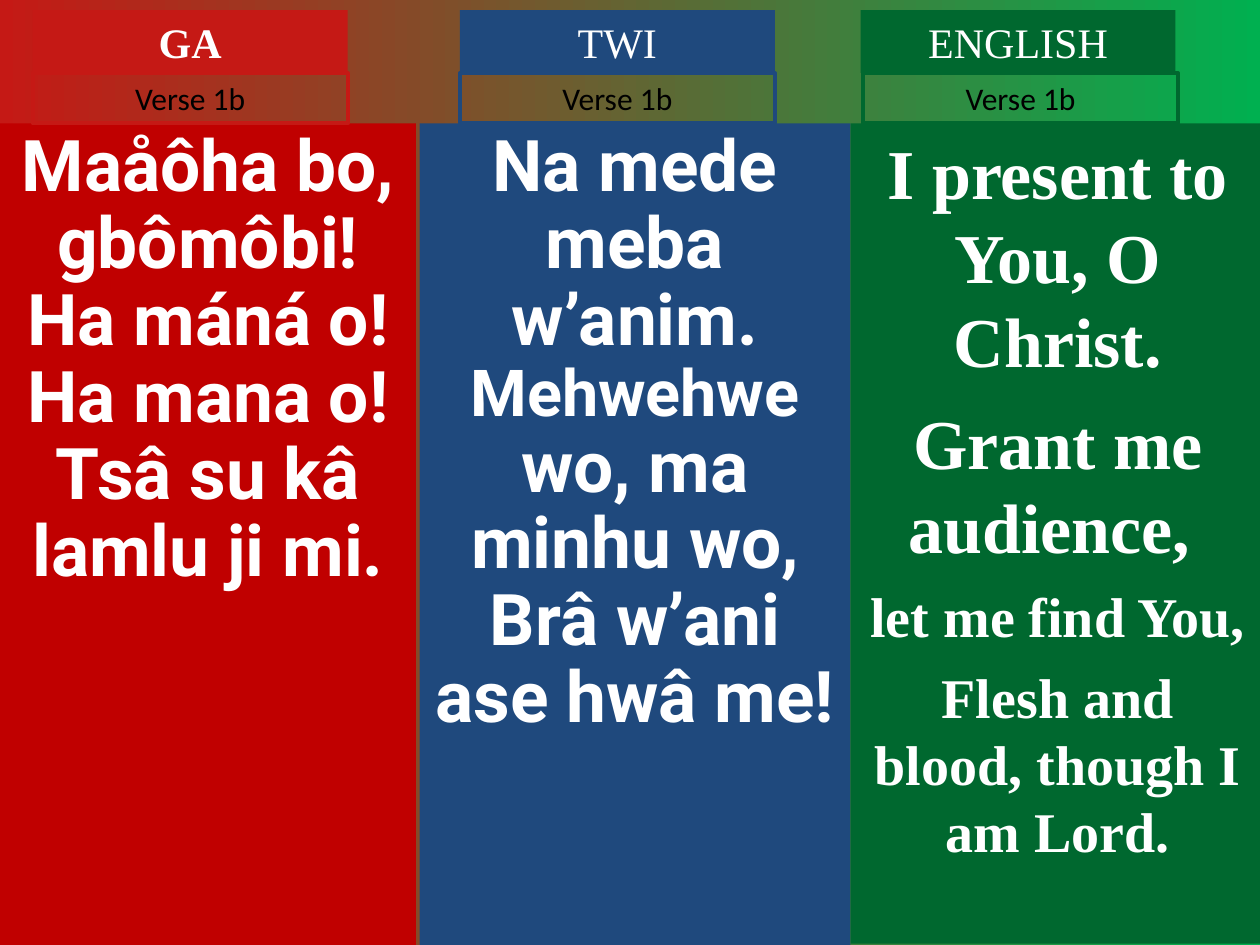
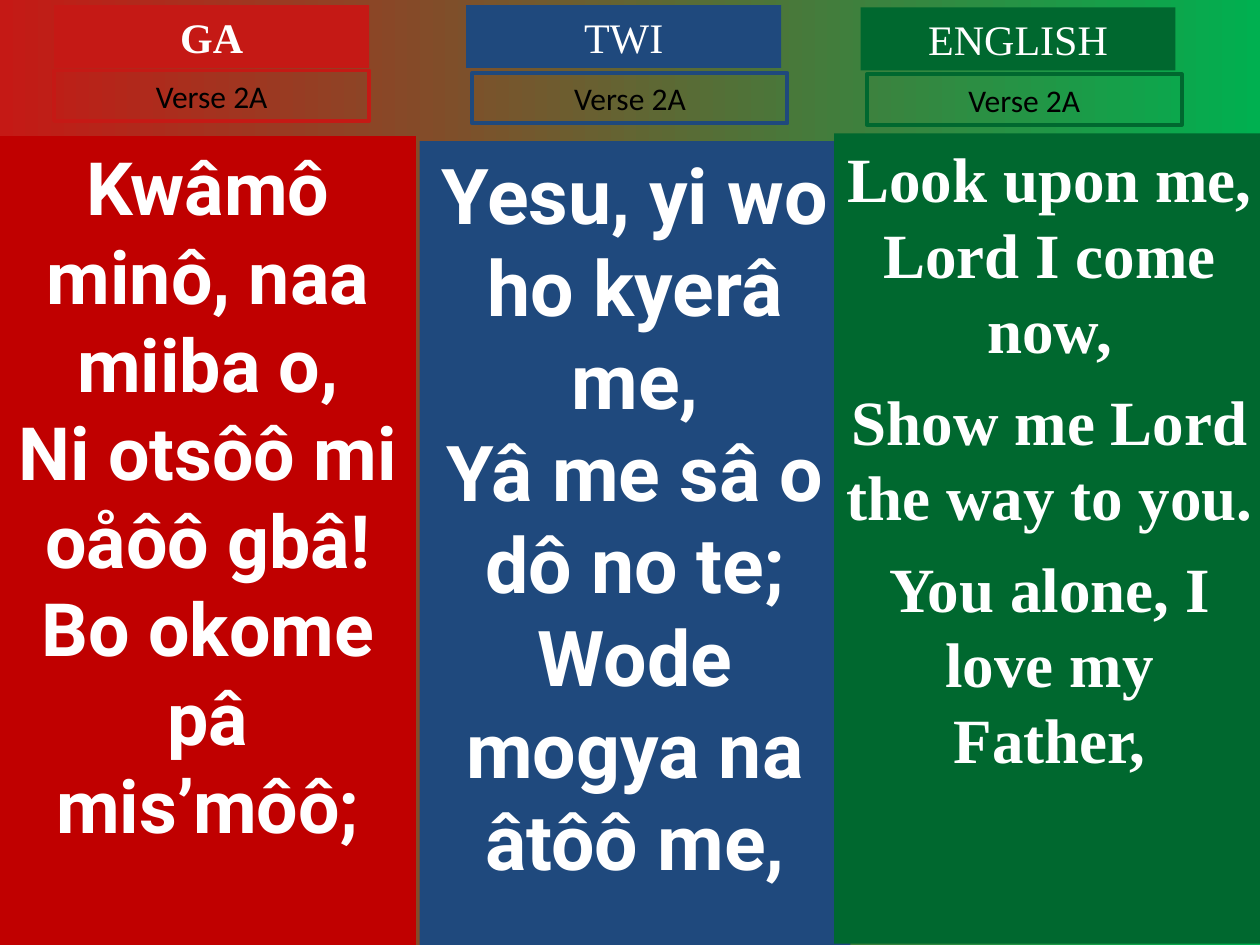
from dataclasses import dataclass

from pptx import Presentation
from pptx.dml.color import RGBColor as RGB
from pptx.enum.shapes import MSO_SHAPE as SHAPE
from pptx.enum.text import MSO_ANCHOR as ANCHOR, MSO_AUTO_SIZE as AUTO_SIZE, PP_ALIGN as ALIGN
from pptx.oxml.ns import qn
from pptx.util import Inches, Pt


@dataclass(frozen=True)
class Theme:
    red: RGB = RGB(0xC5, 0x19, 0x15)
    dark_red: RGB = RGB(0xC0, 0x00, 0x00)
    blue: RGB = RGB(0x1F, 0x49, 0x7D)
    green: RGB = RGB(0x00, 0x68, 0x2F)
    bright_green: RGB = RGB(0x00, 0xB0, 0x50)
    white: RGB = RGB(0xFF, 0xFF, 0xFF)
    black: RGB = RGB(0x00, 0x00, 0x00)
    serif: str = "Times New Roman"
    lyric: str = "Roboto"
    plain: str = "Calibri"
    language_size: float = 24
    verse_size: float = 18


THEME = Theme()
TWO_CONTENT = 3
LABEL_WIDTH, LANGUAGE_HEIGHT, VERSE_HEIGHT = 2.5, 0.5, 0.4


@dataclass(frozen=True)
class Language:
    name: str
    colour: RGB
    panel_colour: RGB
    font: str
    bold_name: bool = False


LANGUAGES = [
    Language("GA", THEME.red, THEME.dark_red, THEME.lyric, bold_name=True),
    Language("TWI", THEME.blue, THEME.blue, THEME.lyric),
    Language("ENGLISH", THEME.green, THEME.green, THEME.serif),
]


@dataclass(frozen=True)
class Lyric:
    """Lines of (text, size, space before); a text may be a list of (text, size) spans."""
    panel: tuple
    language_at: tuple
    verse_at: tuple
    lines: list
    line_spacing: float = 1.0


def sung(size, *texts):
    """Lines of one size that follow each other without extra space."""
    return [(text, size, 0) for text in texts]


VERSES = [
    ("Verse 1b", [
        Lyric((0, 0.98, 3.3, 6.52), (0.26, 0.08), (0.26, 0.58),
              sung(40.7, "Maåôha bo, gbômôbi!", "Ha máná o! Ha mana o!",
                   "Tsâ su kâ lamlu ji mi."), 0.9),
        Lyric((3.33, 0.98, 3.42, 6.52), (3.65, 0.08), (3.65, 0.58),
              sung(40.7, "Na mede meba w’anim.",
                   [("Mehwehwe ", 37), ("wo, ma minhu wo,", 40.7)],
                   "Brâ w’ani ase hwâ me!"), 0.9),
        Lyric((6.75, 0.98, 3.29, 6.51), (6.83, 0.08), (6.85, 0.58),
              [("I present to You, O Christ.", 40, 0), ("Grant me audience, ", 40, 10),
               ("let me find You,", 32, 8), ("Flesh and blood, though I am Lord.", 32, 8)]),
    ]),
    ("Verse 2A", [
        Lyric((0, 1.08, 3.3, 6.42), (0.43, 0.04), (0.43, 0.56),
              sung(42, "Kwâmô minô, naa miiba o,", "Ni otsôô mi oåôô gbâ!",
                   "Bo okome pâ mis’môô;")),
        Lyric((3.33, 1.12, 3.42, 6.38), (3.7, 0.04), (3.75, 0.58),
              sung(44, "Yesu, yi wo ho kyerâ me,", "Yâ me sâ o dô no te;",
                   "Wode mogya na âtôô me,")),
        Lyric((6.62, 1.06, 3.42, 6.43), (6.83, 0.06), (6.88, 0.59),
              [("Look upon me, Lord I come now,", 36, 0),
               ("Show me Lord the way to you.", 36, 9),
               ("You alone, I love my Father,", 36, 9)]),
    ]),
]


def paint_background(deck):
    """Red to green, left to right, on every page."""
    fill = deck.slide_master.background.fill
    fill.gradient()
    fill.gradient_angle = 0
    for stop, colour in zip(fill.gradient_stops, (THEME.red, THEME.bright_green)):
        stop.color.rgb = colour


def place_box(page, place, placeholder=None, fill=None, line=None, anchor=ANCHOR.MIDDLE):
    """Move a placeholder, or add a rectangle, and give it a fill or an outline."""
    left, top, width, height = (Inches(length) for length in place)
    if placeholder is None:
        box = page.shapes.add_shape(SHAPE.RECTANGLE, left, top, width, height)
        box.shadow.inherit = False
    else:
        box = placeholder
        box.left, box.top, box.width, box.height = left, top, width, height
    if fill is None:
        box.fill.background()
    else:
        box.fill.solid()
        box.fill.fore_color.rgb = fill
    if line is None:
        box.line.fill.background()
    else:
        box.line.color.rgb = line
        box.line.width = Pt(2.25)
    frame = box.text_frame
    frame.word_wrap = True
    frame.auto_size = AUTO_SIZE.NONE
    frame.vertical_anchor = anchor
    return box


def style_paragraph(para, font, size, colour, bold=False):
    para.alignment = ALIGN.CENTER
    para.font.name = font
    para.font.size = Pt(size)
    para.font.color.rgb = colour
    para.font.bold = bold


def add_label(page, at, height, text, font, size, colour, bold=False, **look):
    box = place_box(page, (*at, LABEL_WIDTH, height), **look)
    para = box.text_frame.paragraphs[0]
    para.text = text
    style_paragraph(para, font, size, colour, bold)


def remove_bullet(para):
    properties = para._p.get_or_add_pPr()
    properties.set("marL", "0")
    properties.set("indent", "0")
    properties.append(properties.makeelement(qn("a:buNone"), {}))


def add_lyric_panel(page, language, lyric, placeholder):
    box = place_box(page, lyric.panel, placeholder, fill=language.panel_colour,
                    anchor=ANCHOR.TOP)
    frame = box.text_frame
    for index, (text, size, space_before) in enumerate(lyric.lines):
        para = frame.paragraphs[0] if index == 0 else frame.add_paragraph()
        remove_bullet(para)
        para.space_before = Pt(space_before)
        para.line_spacing = lyric.line_spacing
        style_paragraph(para, language.font, size, THEME.white, bold=True)
        if isinstance(text, str):
            para.add_run().text = text
            continue
        for span_text, span_size in text:
            span = para.add_run()
            span.text = span_text
            span.font.size = Pt(span_size)


def add_verse_page(deck, verse, lyrics):
    page = deck.slides.add_slide(deck.slide_layouts[TWO_CONTENT])
    bodies = [page.placeholders[1], page.placeholders[2], None]
    titles = [page.shapes.title, None, None]
    for language, lyric, body, title in zip(LANGUAGES, lyrics, bodies, titles):
        # Words of the verse
        add_lyric_panel(page, language, lyric, body)
        # Language name, with the verse number below it
        add_label(page, lyric.language_at, LANGUAGE_HEIGHT, language.name, THEME.serif,
                  THEME.language_size, THEME.white, language.bold_name,
                  placeholder=title, fill=language.colour)
        add_label(page, lyric.verse_at, VERSE_HEIGHT, verse, THEME.plain,
                  THEME.verse_size, THEME.black, line=language.colour)


def main():
    deck = Presentation()
    deck.slide_width, deck.slide_height = Inches(10), Inches(7.5)
    paint_background(deck)
    for verse, lyrics in VERSES:
        add_verse_page(deck, verse, lyrics)
    deck.save("out.pptx")


if __name__ == "__main__":
    main()
